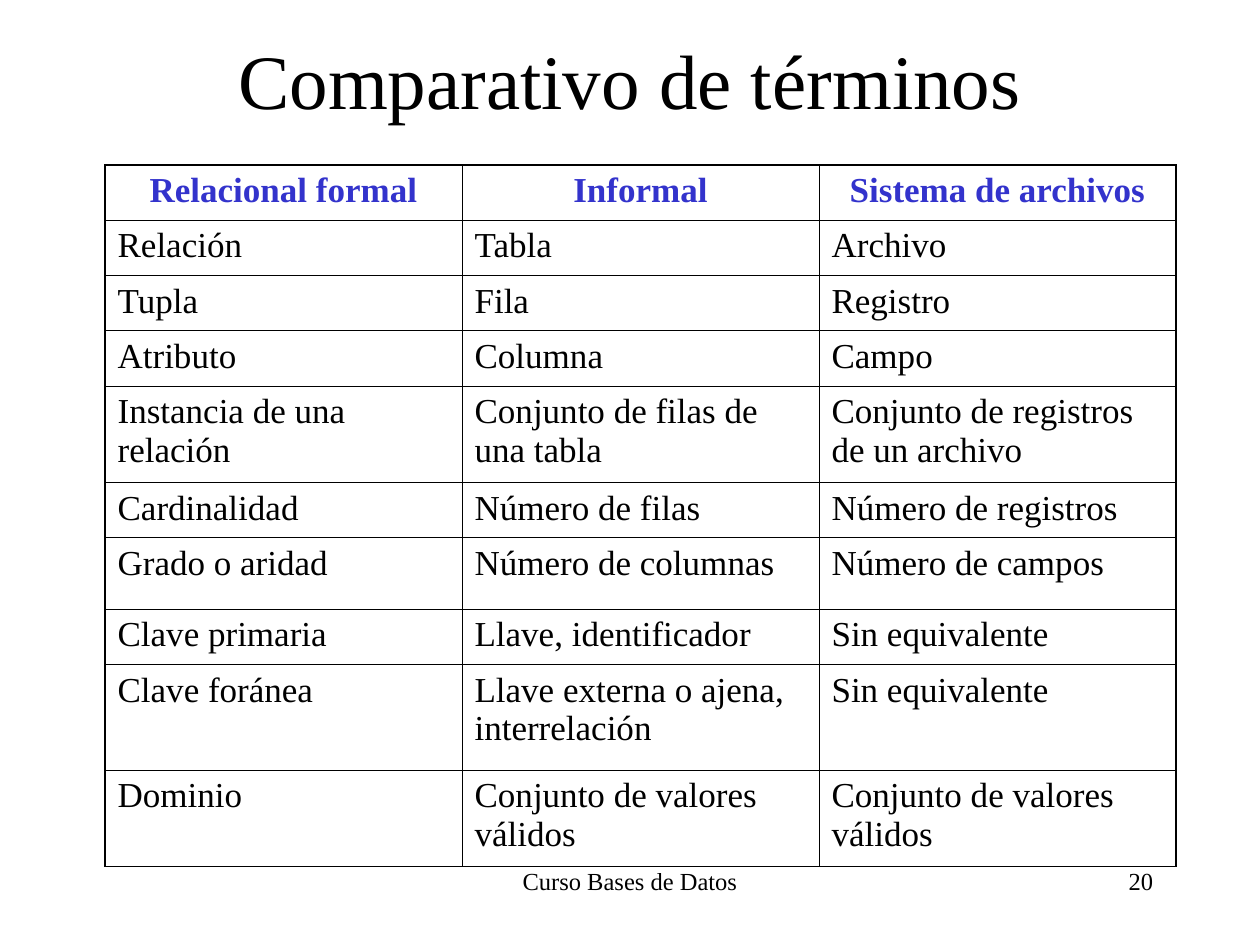
from dataclasses import dataclass
from lxml.etree import SubElement
from pptx import Presentation
from pptx.dml.color import RGBColor
from pptx.enum.text import MSO_ANCHOR, PP_ALIGN
from pptx.oxml.ns import qn
from pptx.util import Inches, Pt


@dataclass(frozen=True)
class Theme:
    font: str = "Times New Roman"
    ink: str = "000000"
    accent: str = "3333CC"
    paper: str = "FFFFFF"
    title: int = 44
    body: int = 20
    footer: int = 14
    outer: float = 1.08
    inner: float = 0.45


theme = Theme()


def write(tf, text, size=theme.body, color=theme.ink, bold=False, align=PP_ALIGN.LEFT, before=0):
    tf.word_wrap = True
    p = tf.paragraphs[0]
    p.alignment = align
    p.space_before = Pt(before)
    r = p.add_run()
    r.text = text
    r.font.name = theme.font
    r.font.size = Pt(size)
    r.font.bold = bold
    r.font.color.rgb = RGBColor.from_string(color)


def add_border(cell, side, width):
    ln = SubElement(cell._tc.get_or_add_tcPr(), qn(f"a:ln{side}"), w=str(Pt(width)))
    fill = SubElement(ln, qn("a:solidFill"))
    SubElement(fill, qn("a:srgbClr"), val=theme.ink)


prs = Presentation()
prs.slide_width, prs.slide_height = Inches(10), Inches(7.5)
W, H = prs.slide_width, prs.slide_height
s = prs.slides.add_slide(prs.slide_layouts[5])
s.background.fill.solid()
s.background.fill.fore_color.rgb = RGBColor.from_string(theme.paper)

title = s.shapes.title
title.left, title.top = int(W * 3 / 40), 0
title.width, title.height = int(W * 34 / 40), int(H / 6)
title.text_frame.vertical_anchor = MSO_ANCHOR.MIDDLE
write(title.text_frame, "Comparativo de términos", size=theme.title, align=PP_ALIGN.CENTER)

footers = [
    ("Curso Bases de Datos", 41, 38, PP_ALIGN.CENTER),
    ("20", 86, 25, PP_ALIGN.RIGHT),
]
for text, col, span, align in footers:
    sp = s.shapes.add_textbox(int(W * col / 120), int(H * 0.91), int(W * span / 120), int(H / 15))
    write(sp.text_frame, text, size=theme.footer, align=align)

terms = [
    (44, "Relacional formal", "Informal", "Sistema de archivos"),
    (44, "Relación", "Tabla", "Archivo"),
    (44, "Tupla", "Fila", "Registro"),
    (44, "Atributo", "Columna", "Campo"),
    (77, "Instancia de una relación", "Conjunto de filas de una tabla",
     "Conjunto de registros de un archivo"),
    (44, "Cardinalidad", "Número de filas", "Número de registros"),
    (57, "Grado o aridad", "Número de columnas", "Número de campos"),
    (44, "Clave primaria", "Llave, identificador", "Sin equivalente"),
    (84, "Clave foránea", "Llave externa o ajena, interrelación", "Sin equivalente"),
    (77, "Dominio", "Conjunto de valores válidos", "Conjunto de valores válidos"),
]
rows, cols = len(terms), 3
table_w, table_h = int(W * 0.85), Inches(5.57)
total = sum(share for share, *_ in terms)
table = s.shapes.add_table(rows, cols, int(W / 12), Inches(1.31), table_w, table_h).table
table.first_row = table.horz_banding = False
for column in table.columns:
    column.width = table_w // cols

for i, (share, *texts) in enumerate(terms):
    table.rows[i].height = int(table_h * share / total)
    head = i == 0
    for j, text in enumerate(texts):
        cell = table.cell(i, j)
        cell.margin_left = cell.margin_right = Inches(0.1)
        cell.margin_top = cell.margin_bottom = Inches(0.05)
        edges = {"L": j == 0, "R": j == cols - 1, "T": head, "B": i == rows - 1}
        for side, is_outer in edges.items():
            add_border(cell, side, theme.outer if is_outer else theme.inner)
        cell.fill.background()
        write(cell.text_frame, text, color=theme.accent if head else theme.ink, bold=head,
              align=PP_ALIGN.CENTER if head else PP_ALIGN.LEFT, before=5)

prs.save("out.pptx")
